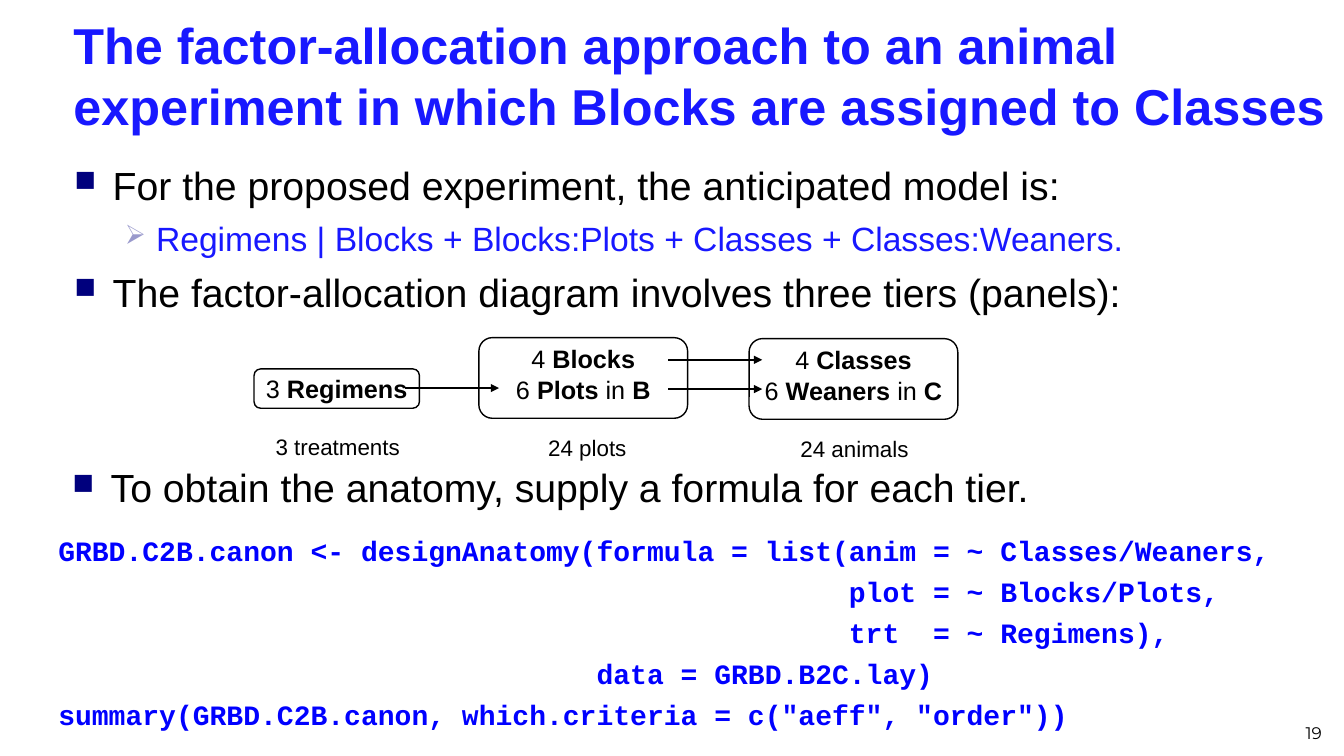
from lxml.etree import SubElement
from pptx import Presentation
from pptx.dml.color import RGBColor
from pptx.enum.shapes import MSO_CONNECTOR, MSO_SHAPE
from pptx.enum.text import MSO_ANCHOR, PP_ALIGN
from pptx.oxml.ns import qn
from pptx.util import Pt

PX = 9144
COLORS = {
    "title": "1818FF",
    "code": "0000FF",
    "text": "000000",
    "square": "00007D",
    "arrow": "9999CC",
}
LEVELS = [
    {"mark": "■", "tint": "square", "part": 75, "left": 38, "hang": 38,
     "size": 28, "color": "text"},
    {"mark": "➢", "tint": "arrow", "part": 80, "left": 81, "hang": 31,
     "size": 24, "color": "title"},
]
CODE = """GRBD.C2B.canon <- designAnatomy(formula = list(anim = ~ Classes/Weaners,
                                               plot = ~ Blocks/Plots,
                                               trt  = ~ Regimens),
                                data = GRBD.B2C.lay)
summary(GRBD.C2B.canon, which.criteria = c("aeff", "order"))"""


def px(*nums):
    return [num * PX for num in nums]


def style(font, size, color="text", face="Arial", bold=False):
    font.size = Pt(size)
    font.name = face
    font.bold = bold
    font.color.rgb = RGBColor.from_string(COLORS[color])


def add_text(slide, area, lines, size, color="text", face="Arial", bold=False,
             align=PP_ALIGN.LEFT, anchor=MSO_ANCHOR.TOP, gap=0, top=5):
    frame = slide.shapes.add_textbox(*px(*area)).text_frame
    frame.word_wrap = True
    frame.vertical_anchor = anchor
    frame.margin_top = top * PX
    frame.text = "\n".join(lines)
    for order, para in enumerate(frame.paragraphs):
        para.alignment = align
        if order:
            para.space_before = Pt(gap)
        for run in para.runs:
            style(run.font, size, color, face, bold)


def add_bullet(para, level):
    props = para._p.get_or_add_pPr()
    props.set("marL", str(level["left"] * PX))
    props.set("indent", str(-level["hang"] * PX))
    tint = SubElement(props, qn("a:buClr"))
    SubElement(tint, qn("a:srgbClr"), val=COLORS[level["tint"]])
    SubElement(props, qn("a:buSzPct"), val=str(level["part"] * 1000))
    SubElement(props, qn("a:buChar"), char=level["mark"])


def add_list(slide, area, items):
    frame = slide.shapes.add_textbox(*px(*area)).text_frame
    frame.word_wrap = True
    frame.margin_top = 9 * PX
    frame.text = "\n".join(text for _, text in items)
    for order, (depth, _) in enumerate(items):
        para = frame.paragraphs[order]
        level = LEVELS[depth]
        para.level = depth
        add_bullet(para, level)
        if order:
            para.space_before = Pt(7)
        style(para.runs[0].font, level["size"], level["color"])


def add_panel(slide, area, lines):
    box = slide.shapes.add_shape(MSO_SHAPE.ROUNDED_RECTANGLE, *px(*area))
    box.shadow.inherit = False
    box.fill.background()
    box.line.color.rgb = RGBColor.from_string(COLORS["text"])
    box.line.width = Pt(1)
    frame = box.text_frame
    frame.word_wrap = True
    frame.vertical_anchor = MSO_ANCHOR.TOP
    frame.margin_left = frame.margin_right = PX
    frame.margin_top = frame.margin_bottom = 2 * PX
    frame.text = "\n".join("" for _ in lines)
    for para, parts in zip(frame.paragraphs, lines):
        para.alignment = PP_ALIGN.CENTER
        for order, part in enumerate(parts):
            run = para.add_run()
            run.text = part
            style(run.font, 18, bold=order % 2 == 1)


def add_arrow(slide, left, top):
    line = slide.shapes.add_connector(
        MSO_CONNECTOR.STRAIGHT, *px(left, top, left + 93, top))
    line.line.color.rgb = RGBColor.from_string(COLORS["text"])
    line.line.width = Pt(1)
    SubElement(line.line._get_or_add_ln(), qn("a:tailEnd"), type="triangle")
    SubElement(line._element.spPr, qn("a:effectLst"))


def main():
    deck = Presentation()
    deck.slide_width, deck.slide_height = px(1333, 750)
    slide = deck.slides.add_slide(deck.slide_layouts[6])

    add_text(slide, (63, -2, 1276, 152),
             ["The factor-allocation approach to an animal experiment "
              "in which Blocks are assigned to Classes"],
             36, "title", bold=True, anchor=MSO_ANCHOR.MIDDLE)
    add_list(slide, (64, 151, 1260, 165), [
        (0, "For the proposed experiment, the anticipated model is:"),
        (1, "Regimens | Blocks + Blocks:Plots + Classes + Classes:Weaners."),
        (0, "The factor-allocation diagram involves three tiers (panels):"),
    ])

    tiers = [
        ((252, 366, 164, 39), [("3 ", "Regimens")],
         (263, 425, 144, 37), "3 treatments"),
        ((475, 335, 207, 80), [("4 ", "Blocks"), ("6 ", "Plots", " in ", "B")],
         (500, 426, 165, 37), "24 plots"),
        ((743, 336, 207, 80),
         [("4 ", "Classes"), ("6 ", "Weaners", " in ", "C")],
         (765, 427, 165, 37), "24 animals"),
    ]
    for area, lines, spot, label in tiers:
        add_panel(slide, area, lines)
        add_text(slide, spot, [label], 16, align=PP_ALIGN.CENTER)
    for left, top in [(402, 385), (663, 386), (663, 357)]:
        add_arrow(slide, left, top)

    add_list(slide, (62, 451, 1260, 79), [
        (0, "To obtain the anatomy, supply a formula for each tier."),
    ])
    add_text(slide, (48, 519, 1276, 209), CODE.split("\n"), 20, "code",
             "Courier New", True, gap=5.3, top=10)
    add_text(slide, (1010, 692, 311, 50), ["19"], 12, face="Montserrat",
             align=PP_ALIGN.RIGHT, anchor=MSO_ANCHOR.BOTTOM)
    deck.save("out.pptx")


if __name__ == "__main__":
    main()
